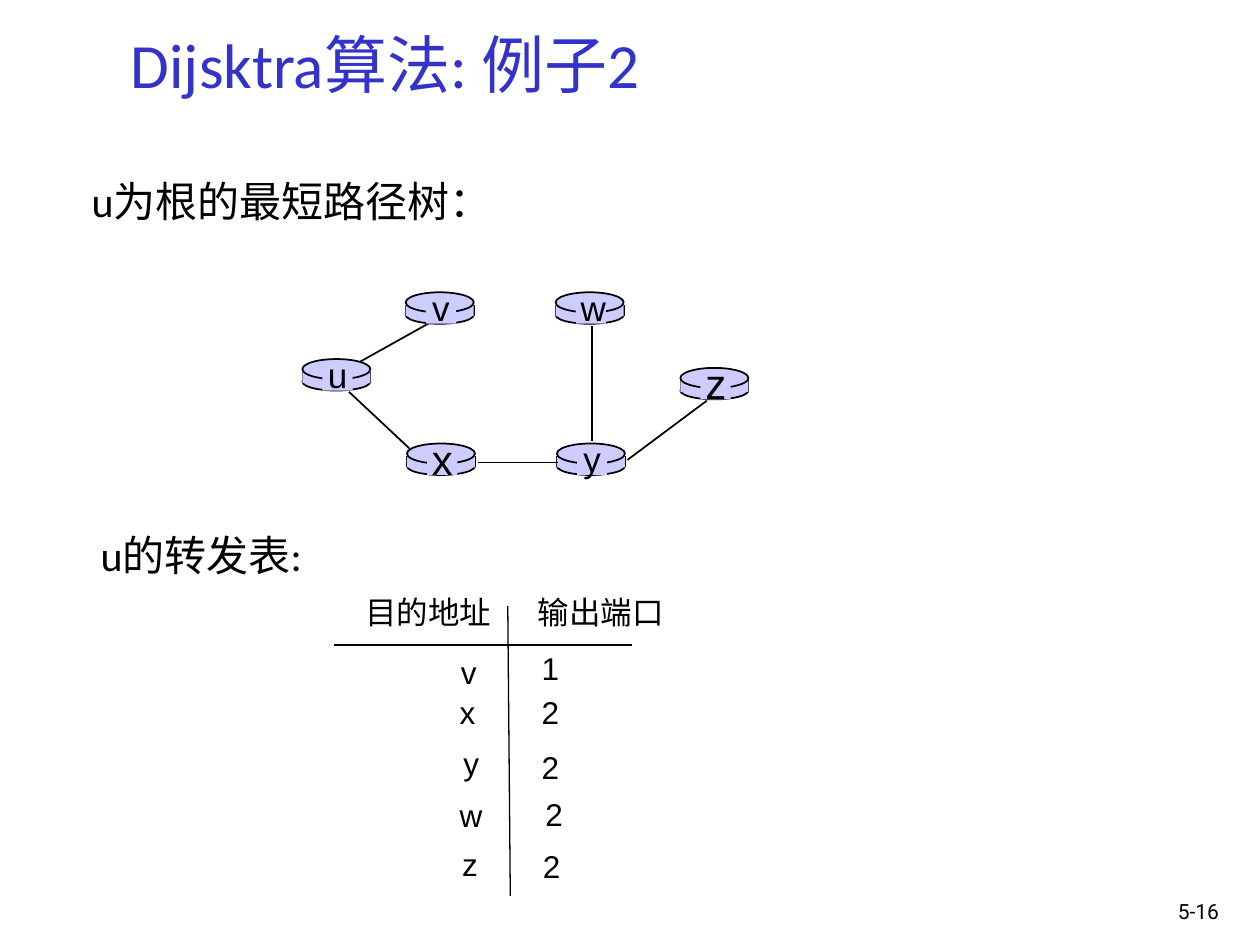
from lxml import etree
from pptx import Presentation
from pptx.dml.color import RGBColor
from pptx.enum.shapes import MSO_CONNECTOR, MSO_SHAPE
from pptx.enum.text import MSO_ANCHOR, PP_ALIGN
from pptx.oxml.ns import qn
from pptx.util import Inches, Pt

OVAL, RECT = MSO_SHAPE.OVAL, MSO_SHAPE.RECTANGLE
STRAIGHT = MSO_CONNECTOR.STRAIGHT
LEFT, CENTER = PP_ALIGN.LEFT, PP_ALIGN.CENTER
TOP, MIDDLE = MSO_ANCHOR.TOP, MSO_ANCHOR.MIDDLE
COLORS = {"ink": "000000", "title": "3333CC", "router": "CCCCFF"}

# name: left and top of the router, label size
ROUTERS = {
    "u": (2.4, 2.85, 20),
    "x": (3.23, 3.52, 24),
    "v": (3.22, 2.32, 20),
    "w": (4.41, 2.32, 20),
    "y": (4.42, 3.52, 20),
    "z": (5.4, 2.92, 24),
}
ROUTER_W = 0.54
LABEL_HEIGHTS = {20: 0.43, 24: 0.5}
TREE_EDGES = [
    (2.86, 2.87, 3.45, 2.54),  # u-v
    (4.7, 2.59, 4.7, 3.5),  # w-y
    (4.98, 3.65, 5.61, 3.18),  # y-z
    (4.43, 3.67, 3.79, 3.67),  # y-x
    (3.25, 3.56, 2.77, 3.11),  # x-u
]
# destination with its left and top, port with its left and top
FORWARDING = [
    ("v", 3.56, 5.13, "1", 4.2, 5.1),
    ("x", 3.55, 5.45, "2", 4.2, 5.45),
    ("y", 3.58, 5.86, "2", 4.2, 5.89),
    ("w", 3.55, 6.27, "2", 4.23, 6.26),
    ("z", 3.57, 6.66, "2", 4.21, 6.67),
]


def rgb(name):
    return RGBColor.from_string(COLORS[name])


def add_line(slide, x1, y1, x2, y2, width=1):
    ln = slide.shapes.add_connector(
        STRAIGHT, Inches(x1), Inches(y1), Inches(x2), Inches(y2))
    ln.line.color.rgb = rgb("ink")
    ln.line.width = Pt(width)
    etree.SubElement(ln._element.spPr, qn("a:effectLst"))


def add_filled(slide, kind, x, y, w, h, outlined=False):
    sp = slide.shapes.add_shape(kind, Inches(x), Inches(y), Inches(w), Inches(h))
    sp.shadow.inherit = False
    sp.fill.solid()
    sp.fill.fore_color.rgb = rgb("router")
    if outlined:
        sp.line.color.rgb = rgb("ink")
        sp.line.width = Pt(1)
    else:
        sp.line.fill.background()


def add_text(slide, text, x, y, w, h, size, font="Arial", color="ink",
             align=LEFT, anchor=TOP, wrap=False):
    sp = slide.shapes.add_textbox(Inches(x), Inches(y), Inches(w), Inches(h))
    tf = sp.text_frame
    tf.word_wrap = wrap
    tf.vertical_anchor = anchor
    p = tf.paragraphs[0]
    p.alignment = align
    r = p.add_run()
    r.text = text
    r.font.size = Pt(size)
    r.font.name = font
    r.font.color.rgb = rgb(color)


def add_router(slide, x, y):
    """Flat cylinder: lower ellipse, sides, body and upper ellipse."""
    add_filled(slide, OVAL, x, y + 0.11, ROUTER_W, 0.14, outlined=True)
    for side in (x, x + ROUTER_W):
        add_line(slide, side, y + 0.1, side, y + 0.19)
    add_filled(slide, RECT, x, y + 0.1, ROUTER_W, 0.09)
    add_filled(slide, OVAL, x, y, ROUTER_W, 0.16, outlined=True)


def add_router_label(slide, name, x, y, size):
    """Name on a plain patch that hides the router's outline."""
    center = x + 0.28
    h = LABEL_HEIGHTS[size]
    add_filled(slide, RECT, center - 0.12, y + 0.02, 0.24, 0.23)
    add_text(slide, name, center - 0.18, y + 0.12 - h / 2, 0.36, h, size,
             align=CENTER)


def add_tree(slide):
    add_line(slide, *TREE_EDGES[0])
    for x, y, _ in ROUTERS.values():
        add_router(slide, x, y)
    for edge in TREE_EDGES[1:]:
        add_line(slide, *edge)
    for name, (x, y, size) in ROUTERS.items():
        add_router_label(slide, name, x, y, size)


def add_forwarding(slide):
    add_line(slide, 4.03, 4.81, 4.05, 7.11, 0.75)
    add_line(slide, 2.65, 5.12, 5.02, 5.12, 0.75)
    for heading, x in (("目的地址", 2.8), ("输出端口", 4.17)):
        add_text(slide, heading, x, 4.66, 1.21, 0.4, 18)
    for dest, dest_x, dest_y, port, port_x, port_y in FORWARDING:
        add_text(slide, dest, dest_x, dest_y, 0.34, 0.4, 18)
        add_text(slide, port, port_x, port_y, 0.34, 0.4, 18)


def main():
    prs = Presentation()
    prs.slide_width, prs.slide_height = Inches(10), Inches(7.5)
    slide = prs.slides.add_slide(prs.slide_layouts[6])
    add_tree(slide)
    add_text(slide, "u为根的最短路径树：", 0.63, 1.34, 3.4, 0.5, 24, "Calibri",
             wrap=True)
    add_forwarding(slide)
    add_text(slide, "u的转发表:", 0.7, 4.15, 1.79, 0.5, 24, "Calibri", wrap=True)
    add_text(slide, "5-16", 9.25, 7.08, 0.6, 0.3, 12, "Roboto", wrap=True)
    add_text(slide, "Dijsktra算法: 例子2", 0.94, -0.12, 8.5, 1.25, 36, "Calibri",
             "title", anchor=MIDDLE, wrap=True)
    prs.save("out.pptx")


if __name__ == "__main__":
    main()
